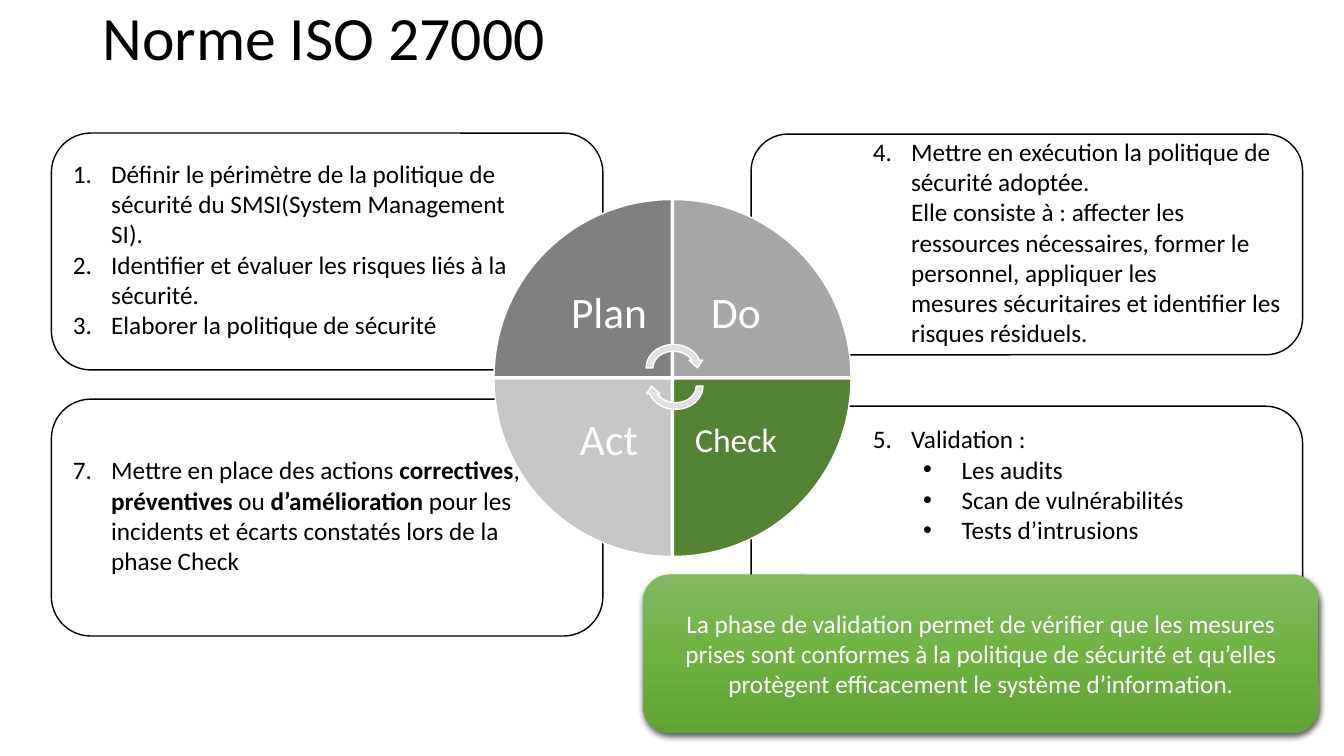
from pptx import Presentation
from pptx.dml.color import RGBColor
from pptx.enum.shapes import MSO_SHAPE as Shape
from pptx.enum.text import MSO_ANCHOR as Anchor, PP_ALIGN as Align
from pptx.oxml import parse_xml
from pptx.oxml.ns import nsdecls
from pptx.oxml.xmlchemy import OxmlElement
from pptx.util import Inches, Pt

BLACK = RGBColor(0x00, 0x00, 0x00)
WHITE = RGBColor(0xFF, 0xFF, 0xFF)
ARROW_GREY = RGBColor(0xE1, 0xE1, 0xE1)
GREEN_STOPS = ((0, RGBColor(0x81, 0xB8, 0x61)), (50, RGBColor(0x6F, 0xB2, 0x42)),
               (100, RGBColor(0x62, 0xA3, 0x36)))
PHASES = (  # label, size, colour, column, row; clockwise from the top left
    ("Plan", 31, RGBColor(0x80, 0x80, 0x80), 0, 0),
    ("Do", 31, RGBColor(0xA6, 0xA6, 0xA6), 1, 0),
    ("Check", 24, RGBColor(0x54, 0x82, 0x35), 1, 1),
    ("Act", 31, RGBColor(0xC6, 0xC6, 0xC6), 0, 1),
)
LEFT_INSETS = (0.1, 0, 0.63, 0.05)
RIGHT_INSETS = (1.1, 0, 0, 0.05)
PANELS = (  # box, insets, first number, numbered items, bulleted items
    ((7.45, 4.03, 5.47, 2.2), (1.1, 0, 0, 0.65), 5, ["Validation :"],
     ["Les audits", "Scan de vulnérabilités", "Tests d’intrusions"]),
    ((0.51, 3.96, 5.47, 2.35), LEFT_INSETS, 7,
     ["Mettre en place des actions *correctives*, *préventives *ou *d’amélioration*"
      " pour les incidents et écarts constatés lors de la phase Check"], []),
    ((7.45, 1.33, 5.47, 2.19), RIGHT_INSETS, 4,
     ["Mettre en exécution la politique de sécurité adoptée.\n"
      "Elle consiste à : affecter les ressources nécessaires, former le personnel, "
      "appliquer les\nmesures sécuritaires et identifier les risques résiduels."], []),
    ((0.51, 1.32, 5.47, 2.35), LEFT_INSETS, 1,
     ["Définir le périmètre de la politique de sécurité du SMSI(System Management SI).",
      "Identifier et évaluer les risques liés à la sécurité.",
      "Elaborer la politique de sécurité"], []),
)
CONCLUSION = ("La phase de validation permet de vérifier que les mesures prises sont conformes "
              "à la politique de sécurité et qu’elles protègent efficacement le système "
              "d’information.")


def set_frame(shape, insets=(0.1, 0.05, 0.1, 0.05)):
    frame = shape.text_frame
    sides = ("margin_left", "margin_top", "margin_right", "margin_bottom")
    values = {side: Inches(inset) for side, inset in zip(sides, insets)}
    values.update(word_wrap=True, vertical_anchor=Anchor.MIDDLE)
    for name, value in values.items():
        setattr(frame, name, value)
    return frame


def write(paragraph, text, size, colour, align=Align.LEFT):
    """Write text in which *stars* mark bold words and newlines mark line breaks."""
    paragraph.alignment = align
    for index, part in enumerate(text.split("*")):
        for line_index, line in enumerate(part.split("\n")):
            if line_index:
                paragraph.add_line_break()
            run = paragraph.add_run()
            run.text = line
            values = {"name": "Calibri", "size": Pt(size), "bold": index % 2 == 1}
            for name, value in values.items():
                setattr(run.font, name, value)
            run.font.color.rgb = colour


def set_marker(paragraph, indent, tag, **attributes):
    properties = paragraph._p.get_or_add_pPr()
    properties.set("marL", str(Inches(indent)))
    properties.set("indent", str(Inches(-0.38)))
    if tag == "a:buChar":
        font = OxmlElement("a:buFont")
        font.set("typeface", "Arial")
        properties.append(font)
    marker = OxmlElement(tag)
    for name, value in attributes.items():
        marker.set(name, value)
    properties.append(marker)


def add_filled(parent, kind, box, fill, line, rotation=0):
    """Add an outlined shape to a slide or a group."""
    shape = parent.shapes.add_shape(kind, *map(Inches, box))
    shape.rotation = rotation
    shape.shadow.inherit = False
    shape.fill.solid()
    shape.fill.fore_color.rgb = fill
    shape.line.color.rgb = line
    shape.line.width = Pt(1)
    return shape


def add_title(slide, box, text):
    title = slide.shapes.add_textbox(*map(Inches, box))
    paragraph = set_frame(title).paragraphs[0]
    paragraph.line_spacing = 0.9
    write(paragraph, text, 44, BLACK)


def add_panel(slide, box, insets, first_number, items, bullets):
    panel = add_filled(slide, Shape.ROUNDED_RECTANGLE, box, WHITE, BLACK)
    frame = set_frame(panel, insets)
    for index, text in enumerate(items + bullets):
        paragraph = frame.add_paragraph() if index else frame.paragraphs[0]
        write(paragraph, text, 18, BLACK)
        if index < len(items):
            set_marker(paragraph, 0.38, "a:buAutoNum", type="arabicPeriod",
                       startAt=str(first_number))
        else:
            paragraph.level = 1
            set_marker(paragraph, 0.88, "a:buChar", char="•")


def add_wheel(slide, box):
    """Group four labelled wedges around the centre of the box with two arrows."""
    wheel = slide.shapes.add_group_shape()
    left, top, side, _ = box
    gap, label_side = 0.02, 1.24
    wedge = (side - gap) / 2
    inner = wedge - label_side
    middle_x, middle_y = left + side / 2, top + side / 2
    for index, (label, size, colour, column, row) in enumerate(PHASES):
        x, y = left + column * (wedge + gap), top + row * (wedge + gap)
        add_filled(wheel, Shape.PIE_WEDGE, (x, y, wedge, wedge), colour, WHITE, 90 * index)
        label_box = (x + (1 - column) * inner, y + (1 - row) * inner, label_side, label_side)
        text_box = wheel.shapes.add_textbox(*map(Inches, label_box))
        paragraph = set_frame(text_box).paragraphs[0]
        paragraph.line_spacing = 0.9
        write(paragraph, label, size, WHITE, Align.CENTER)
    width, height = 0.61, 0.53
    for rotation, shift_x, shift_y in ((0, 0.01, -0.1), (180, 0.03, 0.08)):
        arrow_box = (middle_x + shift_x - width / 2, middle_y + shift_y - height / 2,
                     width, height)
        add_filled(wheel, Shape.CIRCULAR_ARROW, arrow_box, ARROW_GREY, WHITE, rotation)


def add_conclusion(slide, box, text):
    banner = slide.shapes.add_shape(Shape.ROUNDED_RECTANGLE, *map(Inches, box))
    banner.line.fill.background()
    stops = "".join(f'<a:gs pos="{share * 1000}"><a:srgbClr val="{colour}"/></a:gs>'
                    for share, colour in GREEN_STOPS)
    gradient = parse_xml(f'<a:gradFill {nsdecls("a")}><a:gsLst>{stops}</a:gsLst>'
                         '<a:lin ang="5400000" scaled="0"/></a:gradFill>')
    shadow = parse_xml(
        f'<a:effectLst {nsdecls("a")}><a:outerShdw blurRad="{Pt(4.5)}" dist="{Pt(1.5)}" '
        'dir="5400000" algn="ctr" rotWithShape="0"><a:srgbClr val="000000">'
        '<a:alpha val="63000"/></a:srgbClr></a:outerShdw></a:effectLst>')
    properties = banner._element.spPr
    properties.insert(2, gradient)
    properties.append(shadow)
    write(set_frame(banner).paragraphs[0], text, 18, WHITE, Align.CENTER)


def main():
    presentation = Presentation()
    presentation.slide_width, presentation.slide_height = Inches(13.33), Inches(7.5)
    slide = presentation.slides.add_slide(presentation.slide_layouts[6])
    for panel in PANELS:
        add_panel(slide, *panel)
    add_title(slide, (0.92, 0, 11.5, 0.8), "Norme ISO 27000")
    add_wheel(slide, (4.9, 1.98, 3.54, 3.54))
    add_conclusion(slide, (6.38, 5.7, 6.7, 1.57), CONCLUSION)
    presentation.save("out.pptx")


if __name__ == "__main__":
    main()
